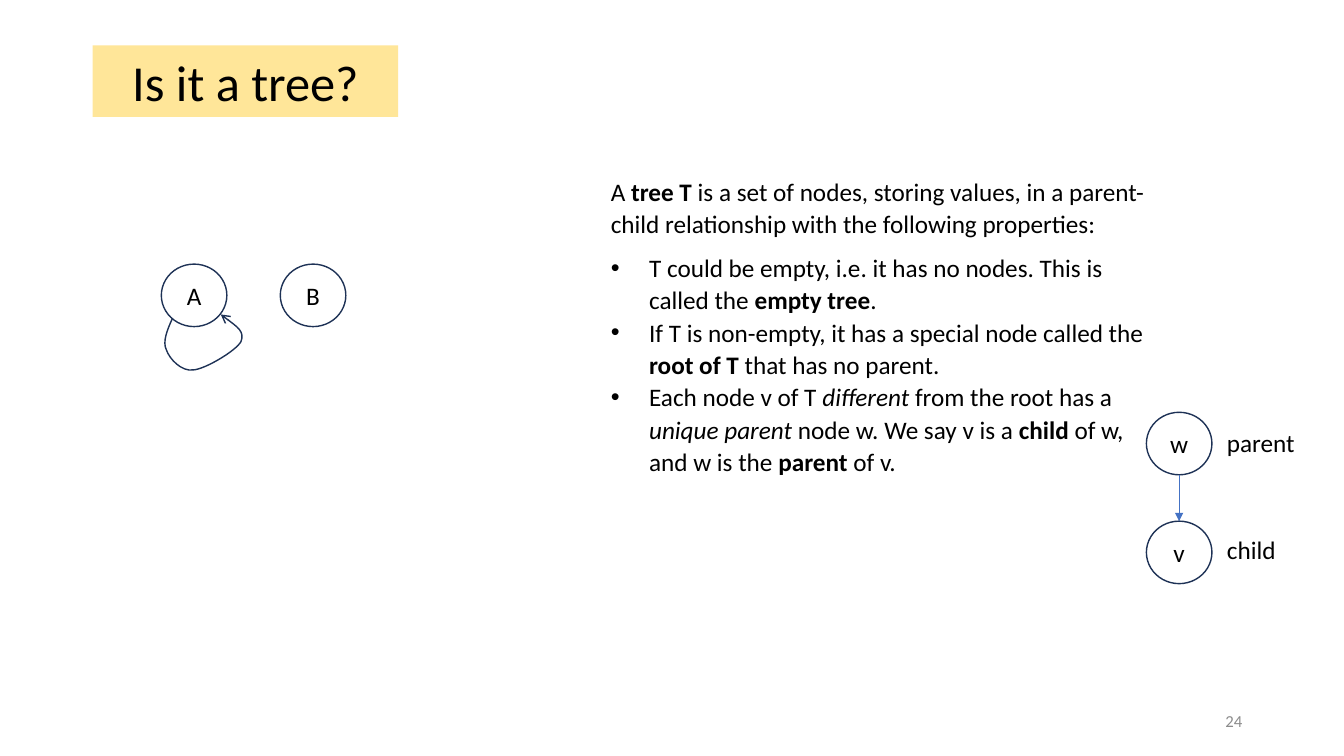
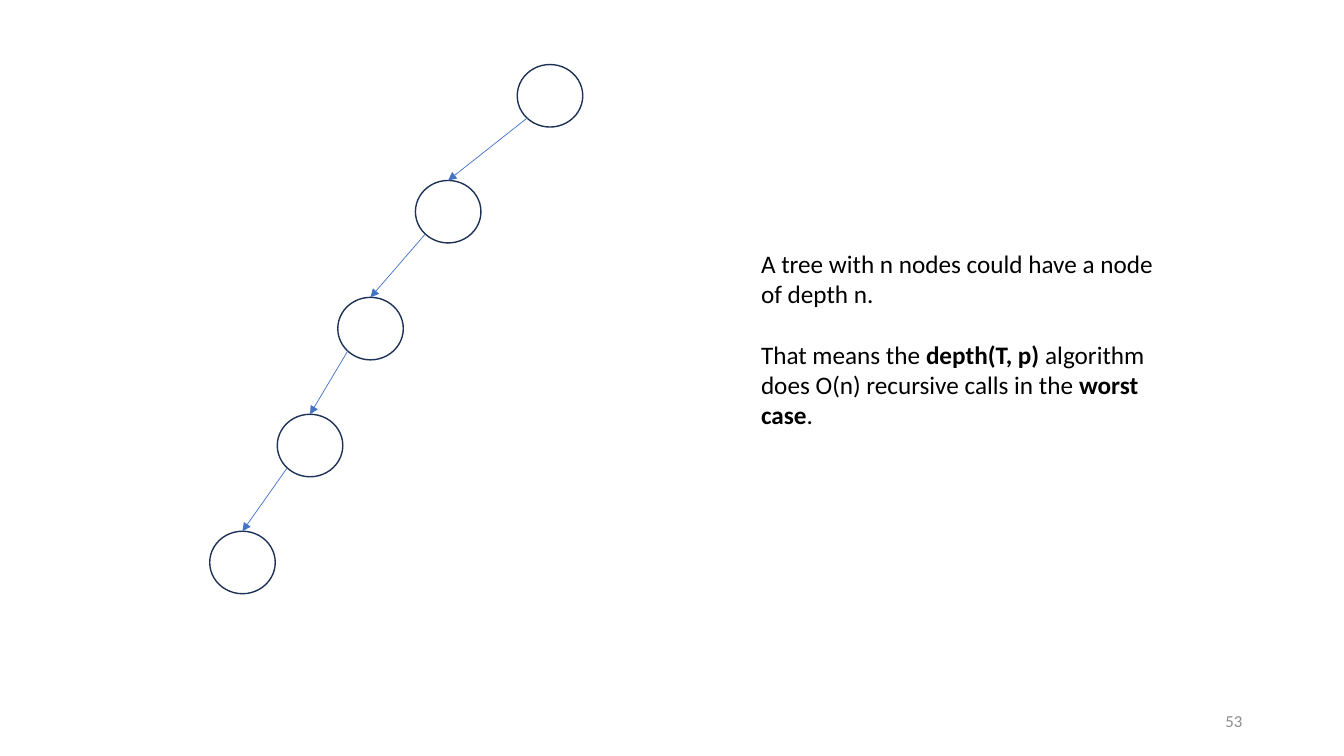
from pptx import Presentation
from pptx.dml.color import RGBColor
from pptx.enum.shapes import MSO_CONNECTOR, MSO_SHAPE
from pptx.enum.text import MSO_ANCHOR, PP_ALIGN
from pptx.oxml import parse_xml
from pptx.oxml.ns import nsdecls, qn
from pptx.util import Inches, Pt

BLACK = RGBColor(0x00, 0x00, 0x00)
NAVY = RGBColor(0x1E, 0x32, 0x56)
BLUE = RGBColor(0x44, 0x72, 0xC4)
YELLOW = RGBColor(0xFF, 0xE6, 0x99)
GRAY = RGBColor(0x8C, 0x8C, 0x8C)
FONT = "Calibri"
NODE_W, NODE_H = 0.65, 0.62
# Where an edge leaves the lower left of a node
EDGE_X, EDGE_Y = 0.1, 0.53


def write(frame, paragraphs, size=18, color=BLACK, align=PP_ALIGN.LEFT):
    """Fill a text frame; each paragraph is a list of (text, style) with style "", "b" or "i"."""
    for number, pieces in enumerate(paragraphs):
        paragraph = frame.add_paragraph() if number else frame.paragraphs[0]
        paragraph.alignment = align
        for text, style in pieces:
            for line_number, line in enumerate(text.split("\n")):
                if line_number:
                    paragraph.add_line_break()
                run = paragraph.add_run()
                run.text = line
                run.font.name = FONT
                run.font.size = Pt(size)
                run.font.color.rgb = color
                run.font.bold = style == "b"
                run.font.italic = style == "i"


def style_outline(shape, color, width, arrowhead=None):
    """Set the line and drop the shadow; arrowhead names the tail end type."""
    shape.line.color.rgb = color
    shape.line.width = Pt(width)
    properties = shape._element.spPr
    if arrowhead:
        shape.line._get_or_add_ln().append(
            parse_xml(f'<a:tailEnd {nsdecls("a")} type="{arrowhead}"/>'))
    properties.append(parse_xml(f'<a:effectLst {nsdecls("a")}/>'))


prs = Presentation()
prs.slide_width, prs.slide_height = Inches(13.33), Inches(7.5)
blank = prs.slide_layouts[6]
quiz = prs.slides.add_slide(blank)
worst_case = prs.slides.add_slide(blank)

# Page numbers
for slide, number in ((quiz, "24"), (worst_case, "53")):
    footer = slide.shapes.add_textbox(Inches(9.42), Inches(6.95), Inches(3), Inches(0.4)).text_frame
    footer.word_wrap = True
    footer.vertical_anchor = MSO_ANCHOR.MIDDLE
    write(footer, [[(number, "")]], 12, GRAY, PP_ALIGN.RIGHT)

# Nodes: slide, left, top, letter
chain = [(5.13, 0.64), (4.12, 1.79), (3.35, 2.95), (2.75, 4.11), (2.08, 5.27)]
placements = [(quiz, 1.6, 2.62, "A"), (quiz, 2.78, 2.62, "B"),
              (quiz, 11.37, 4.09, "w"), (quiz, 11.37, 5.17, "v")]
placements += [(worst_case, left, top, "") for left, top in chain]
nodes = []
for slide, left, top, letter in placements:
    node = slide.shapes.add_shape(
        MSO_SHAPE.OVAL, Inches(left), Inches(top), Inches(NODE_W), Inches(NODE_H))
    node.fill.background()
    style_outline(node, NAVY, 1)
    if letter:
        node.text_frame.word_wrap = False
        write(node.text_frame, [[(letter, "")]], align=PP_ALIGN.CENTER)
    nodes.append(node)

# Edges: slide, start x, start y, child node
edges = [(quiz, 11.37 + NODE_W / 2, 4.09 + NODE_H, nodes[3])]
edges += [(worst_case, left + EDGE_X, top + EDGE_Y, child)
          for (left, top), child in zip(chain, nodes[5:])]
for slide, x, y, child in edges:
    edge = slide.shapes.add_connector(
        MSO_CONNECTOR.STRAIGHT, Inches(x), Inches(y), child.left, child.top)
    edge.end_connect(child, 0)
    style_outline(edge, BLUE, 0.5, "triangle")

# Slide 24: title, definition and labels
title = quiz.shapes.add_shape(
    MSO_SHAPE.RECTANGLE, Inches(0.92), Inches(0.45), Inches(3.03), Inches(0.71))
title.fill.solid()
title.fill.fore_color.rgb = YELLOW
title.line.fill.background()
title.shadow.inherit = False
write(title.text_frame, [[("Is it a tree?", "")]], 36, align=PP_ALIGN.CENTER)

definition = quiz.shapes.add_textbox(
    Inches(5.96), Inches(1.68), Inches(5.63), Inches(3.12)).text_frame
definition.word_wrap = True
write(definition, [
    [("A ", ""), ("tree T", "b"),
     (" is a set of nodes, storing values, in a parent-child relationship"
      " with the following properties:", "")],
    [("T could be empty, i.e. it has no nodes. This is called the ", ""),
     ("empty tree", "b"), (".", "")],
    [("If T is non-empty, it has a special node called the ", ""),
     ("root of T", "b"), (" that has no parent.", "")],
    [("Each node v of T ", ""), ("different", "i"), (" from the root has a ", ""),
     ("unique parent", "i"), (" node w. We say v is a ", ""), ("child", "b"),
     (" of w, and w is the ", ""), ("parent", "b"), (" of v.", "")],
])
for paragraph in definition.paragraphs:
    paragraph.line_spacing = 1.07
definition.paragraphs[0].space_after = Pt(8)
for paragraph in definition.paragraphs[1:]:
    bullet = paragraph._p.get_or_add_pPr()
    bullet.set("marL", str(Inches(0.38)))
    bullet.set("indent", str(-Inches(0.38)))
    bullet.append(parse_xml(f'<a:buFont {nsdecls("a")} typeface="Arial"/>'))
    bullet.append(parse_xml(f'<a:buChar {nsdecls("a")} char="•"/>'))

for role, top, width in (("parent", 4.19, 0.88), ("child", 5.25, 0.69)):
    label = quiz.shapes.add_textbox(Inches(12.07), Inches(top), Inches(width), Inches(0.4))
    label.text_frame.word_wrap = False
    write(label.text_frame, [[(role, "")]])

# Self-loop of A: start, then two control points and an end for each curve
loop_points = [(1.71, 3.16),
               (1.66, 3.27), (1.61, 3.39), (1.65, 3.47),
               (1.68, 3.56), (1.8, 3.69), (1.92, 3.67),
               (2.04, 3.66), (2.34, 3.48), (2.39, 3.39),
               (2.43, 3.29), (2.31, 3.21), (2.19, 3.12)]
builder = quiz.shapes.build_freeform(*loop_points[0], scale=Inches(1) / 1000 * 1000)
builder = quiz.shapes.build_freeform(
    *(Inches(value) for value in loop_points[0]), scale=1.0)
builder.add_line_segments([(Inches(x), Inches(y)) for x, y in loop_points[1:]], close=False)
self_loop = builder.convert_to_shape()
self_loop.fill.background()
style_outline(self_loop, NAVY, 1, "arrow")
segments = list(self_loop._element.iter(qn("a:lnTo")))
for first in range(0, len(segments), 3):
    curve = parse_xml(f'<a:cubicBezTo {nsdecls("a")}/>')
    segments[first].addprevious(curve)
    for segment in segments[first:first + 3]:
        curve.append(segment[0])
        segment.getparent().remove(segment)

# Slide 53: depth in the worst case
remark = worst_case.shapes.add_textbox(
    Inches(7.45), Inches(2.41), Inches(4.14), Inches(1.92)).text_frame
remark.word_wrap = False
write(remark, [
    [("A tree with n nodes could have a node\nof depth n.", "")],
    [("That means the ", ""), ("depth(T, p)", "b"),
     (" algorithm\ndoes O(n) recursive calls in the ", ""),
     ("worst\ncase", "b"), (".", "")],
])
remark.paragraphs[1].space_before = Pt(22)

prs.save("out.pptx")
